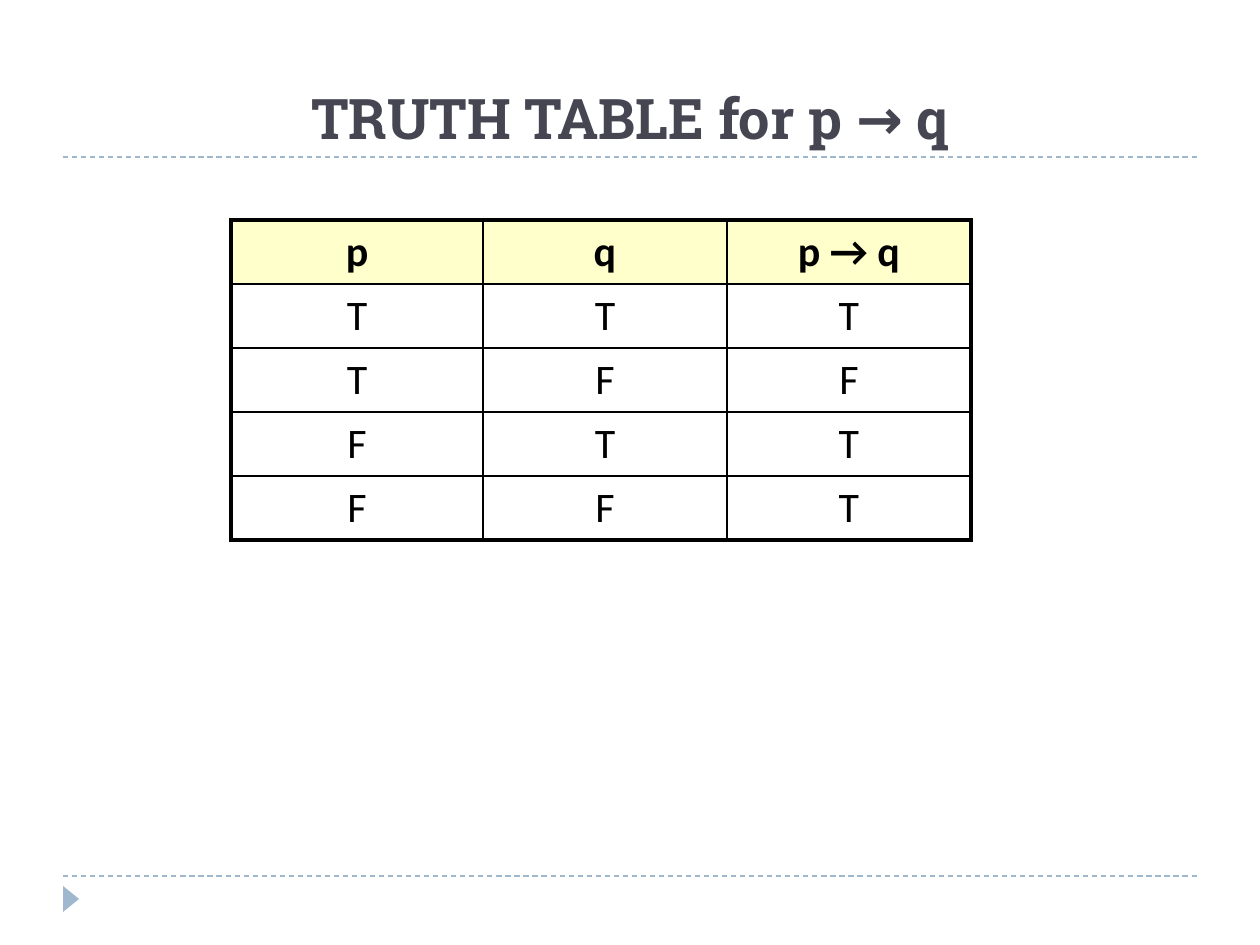
from lxml.etree import SubElement
from pptx import Presentation
from pptx.dml.color import RGBColor
from pptx.enum.dml import MSO_LINE
from pptx.enum.shapes import MSO_CONNECTOR, MSO_SHAPE
from pptx.enum.text import MSO_ANCHOR, PP_ALIGN
from pptx.oxml.ns import qn
from pptx.util import Pt

PX = 914400 / 126
SLATE = RGBColor(0x46, 0x46, 0x53)
BLUE = RGBColor(0x9F, 0xB8, 0xCD)
CREAM = RGBColor(0xFF, 0xFF, 0xCC)
WHITE = RGBColor(0xFF, 0xFF, 0xFF)
BLACK = RGBColor(0x00, 0x00, 0x00)
THIN, THICK = 1, 2.25
TRUTH_ROWS = ["p", "q", "p → q"], "TTT", "TFF", "FTT", "FFT"


def emu(*lengths):
    """Turn px lengths into a list of EMU."""
    return [round(length * PX) for length in lengths]


def write(paragraph, text, font_name, size, color, bold):
    """Add one centred run to a paragraph."""
    paragraph.alignment = PP_ALIGN.CENTER
    run = paragraph.add_run()
    run.text = text
    run.font.name = font_name
    run.font.size = Pt(size)
    run.font.color.rgb = color
    run.font.bold = bold


def add_rule(slide, left, top, width):
    """Draw a dashed horizontal rule."""
    line = slide.shapes.add_connector(
        MSO_CONNECTOR.STRAIGHT, *emu(left, top, left + width, top))
    line.line.color.rgb = BLUE
    line.line.width = Pt(0.75)
    line.line.dash_style = MSO_LINE.DASH
    SubElement(line._element.spPr, qn("a:effectLst"))


def add_header(slide, left, top, width, height):
    """Place the title with a rule along its lower edge."""
    add_rule(slide, left, top + height, width)
    title = slide.shapes.title
    title.left, title.top, title.width, title.height = emu(left, top, width, height)
    title.text_frame.vertical_anchor = MSO_ANCHOR.BOTTOM
    write(title.text_frame.paragraphs[0], "TRUTH TABLE for p → q",
          "Roboto Slab", 32, SLATE, True)


def add_footer(slide, left, top, width):
    """Place the bottom rule and the arrow marker below it."""
    add_rule(slide, left, top, width)
    marker = slide.shapes.add_shape(
        MSO_SHAPE.ISOSCELES_TRIANGLE, *emu(left - 5, top + 15, 26, 16))
    marker.rotation = 90
    marker.fill.solid()
    marker.fill.fore_color.rgb = BLUE
    marker.line.fill.background()
    marker.shadow.inherit = False


def set_borders(cell, widths):
    """Draw black cell borders from a mapping of side to width in points."""
    properties = cell._tc.get_or_add_tcPr()
    for index, (side, width) in enumerate(widths.items()):
        border = properties.makeelement(qn(f"a:ln{side}"), {"w": str(Pt(width))})
        fill = SubElement(border, qn("a:solidFill"))
        SubElement(fill, qn("a:srgbClr"), val=str(BLACK))
        properties.insert(index, border)


def add_truth_table(slide, left, top, column_widths, row_height):
    """Place the truth table with a thick frame and thin inner lines."""
    last_row, last_column = len(TRUTH_ROWS) - 1, len(column_widths) - 1
    table = slide.shapes.add_table(
        last_row + 1, last_column + 1,
        *emu(left, top, sum(column_widths), row_height * (last_row + 1))).table
    for column, width in zip(table.columns, emu(*column_widths)):
        column.width = width
    for row_index, values in enumerate(TRUTH_ROWS):
        table.rows[row_index].height = emu(row_height)[0]
        is_header = row_index == 0
        for column_index, value in enumerate(values):
            cell = table.cell(row_index, column_index)
            cell.fill.solid()
            cell.fill.fore_color.rgb = CREAM if is_header else WHITE
            paragraph = cell.text_frame.paragraphs[0]
            paragraph.space_after = Pt(10)
            write(paragraph, value, "Calibri", 24, BLACK, is_header)
            set_borders(cell, {
                "L": THICK if column_index == 0 else THIN,
                "R": THICK if column_index == last_column else THIN,
                "T": THICK if is_header else THIN,
                "B": THICK if row_index == last_row else THIN,
            })


def main():
    """Build and save the slide."""
    presentation = Presentation()
    presentation.slide_width, presentation.slide_height = emu(1260, 945)
    slide = presentation.slides.add_slide(presentation.slide_layouts[5])
    add_footer(slide, 63, 876, 1134)
    add_header(slide, 63, 21, 1134, 136)
    add_truth_table(slide, 231, 220, (252, 244, 244), 64)
    presentation.save("out.pptx")


if __name__ == "__main__":
    main()
